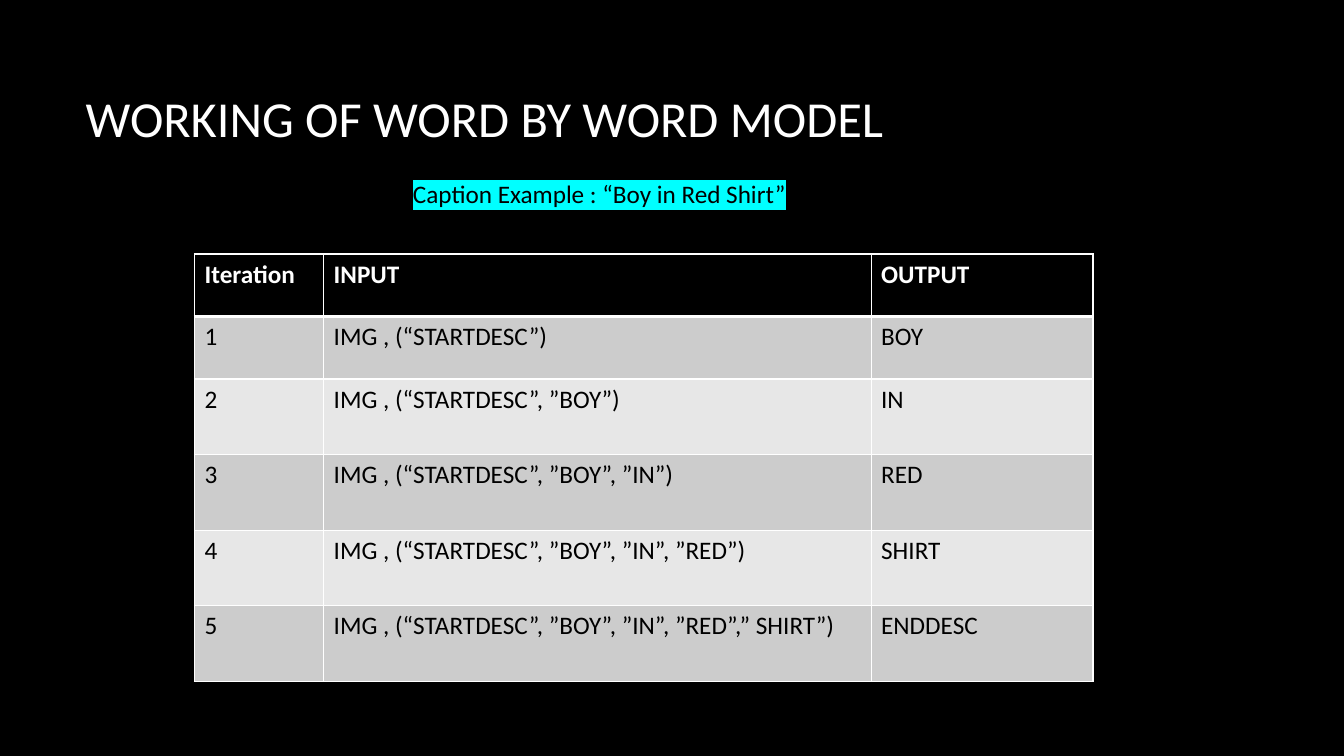
from dataclasses import dataclass

from lxml.etree import SubElement
from pptx import Presentation
from pptx.dml.color import RGBColor
from pptx.enum.text import MSO_ANCHOR, PP_ALIGN
from pptx.oxml import parse_xml
from pptx.oxml.ns import nsdecls, qn
from pptx.util import Inches, Pt

# Content
TITLE = "WORKING OF WORD BY WORD MODEL"
CAPTION = "Caption Example : “Boy in Red Shirt”"
ROWS = [
    ("Iteration", "INPUT", "OUTPUT"),
    ("1", "IMG , (“STARTDESC”)", "BOY"),
    ("2", "IMG , (“STARTDESC”, ”BOY”)", "IN"),
    ("3", "IMG , (“STARTDESC”, ”BOY”, ”IN”)", "RED"),
    ("4", "IMG , (“STARTDESC”, ”BOY”, ”IN”, ”RED”)", "SHIRT"),
    ("5", "IMG , (“STARTDESC”, ”BOY”, ”IN”, ”RED”,” SHIRT”)", "ENDDESC"),
]

# Layout in inches: left, top, width, height
SLIDE_SIZE = (13.33, 7.5)
TITLE_BOX = (0.75, 0.67, 11.08, 0.99)
CAPTION_BOX = (3.36, 1.72, 5.17, 0.71)
TABLE_CORNER = (1.93, 2.52)
COLUMN_WIDTHS = (1.28, 5.43, 2.2)
ROW_HEIGHTS = (0.62,) * 2 + (0.75,) * 4


@dataclass(frozen=True)
class Theme:
    font: str = "Calibri"
    title_size: int = 36
    body_size: int = 18
    dark: str = "000000"
    light: str = "FFFFFF"
    highlight: str = "00FFFF"
    bands: tuple = ("E7E7E7", "CCCCCC")
    thin: int = 1
    thick: int = 3


THEME = Theme()


def format_paragraph(paragraph, size, color, bold=False):
    font = paragraph.font
    font.name = THEME.font
    font.size = Pt(size)
    font.bold = bold
    font.color.rgb = RGBColor.from_string(color)


def set_borders(cell, widths):
    """Draw the left, right, top and bottom borders, widths in points."""
    properties = cell._tc.get_or_add_tcPr()
    for index, (side, width) in enumerate(zip("LRTB", widths)):
        properties.insert(index, parse_xml(
            f'<a:ln{side} {nsdecls("a")} w="{Pt(width)}"><a:solidFill>'
            f'<a:srgbClr val="{THEME.light}"/></a:solidFill></a:ln{side}>'))


def add_title(slide):
    title = slide.shapes.title
    title.left, title.top, title.width, title.height = map(Inches, TITLE_BOX)
    title.text_frame.text = TITLE
    title.text_frame.vertical_anchor = MSO_ANCHOR.MIDDLE
    paragraph = title.text_frame.paragraphs[0]
    paragraph.alignment = PP_ALIGN.LEFT
    format_paragraph(paragraph, THEME.title_size, THEME.light)


def add_caption(slide):
    caption = slide.shapes.add_textbox(*map(Inches, CAPTION_BOX))
    caption.text_frame.word_wrap = True
    paragraph = caption.text_frame.paragraphs[0]
    paragraph.alignment = PP_ALIGN.CENTER
    format_paragraph(paragraph, THEME.body_size, THEME.dark)
    run = paragraph.add_run()
    run.text = CAPTION
    highlight = SubElement(run._r.get_or_add_rPr(), qn("a:highlight"))
    SubElement(highlight, qn("a:srgbClr"), val=THEME.highlight)


def add_iterations(slide):
    size = (sum(COLUMN_WIDTHS), sum(ROW_HEIGHTS))
    table = slide.shapes.add_table(
        len(ROWS), len(COLUMN_WIDTHS), *map(Inches, TABLE_CORNER + size)).table
    for column, width in zip(table.columns, COLUMN_WIDTHS):
        column.width = Inches(width)
    for row_index, texts in enumerate(ROWS):
        table.rows[row_index].height = Inches(ROW_HEIGHTS[row_index])
        header = row_index == 0
        fill = THEME.dark if header else THEME.bands[row_index % 2]
        color = THEME.light if header else THEME.dark
        # The heavy rule lies between the header and the first iteration
        top = THEME.thick if row_index == 1 else THEME.thin
        bottom = THEME.thick if header else THEME.thin
        for cell, text in zip(table.rows[row_index].cells, texts):
            cell.text = text
            cell.fill.solid()
            cell.fill.fore_color.rgb = RGBColor.from_string(fill)
            format_paragraph(cell.text_frame.paragraphs[0],
                             THEME.body_size, color, header)
            set_borders(cell, (THEME.thin, THEME.thin, top, bottom))


def main():
    presentation = Presentation()
    presentation.slide_width, presentation.slide_height = map(Inches, SLIDE_SIZE)
    title_only = presentation.slide_layouts[5]
    slide = presentation.slides.add_slide(title_only)
    slide.background.fill.solid()
    slide.background.fill.fore_color.rgb = RGBColor.from_string(THEME.dark)
    add_title(slide)
    add_caption(slide)
    add_iterations(slide)
    presentation.save("out.pptx")


if __name__ == "__main__":
    main()
